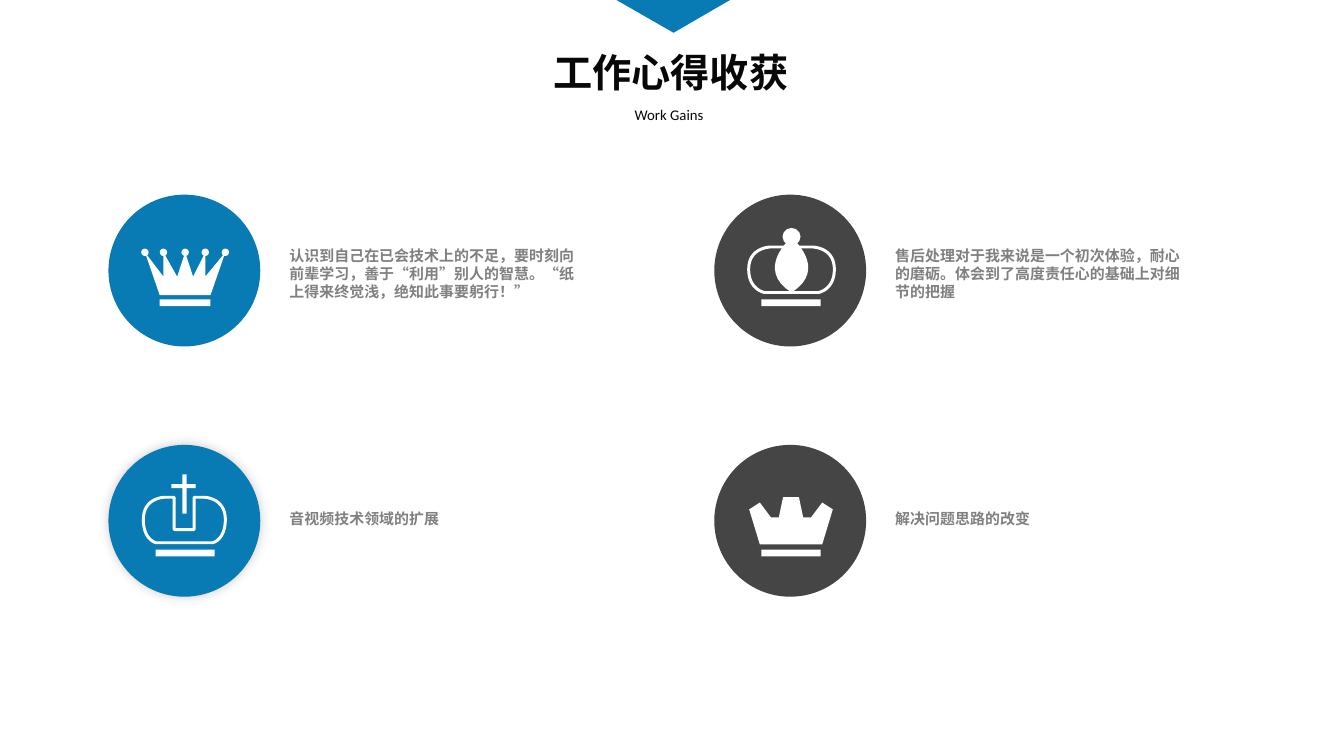
from lxml import etree
from pptx import Presentation
from pptx.dml.color import RGBColor
from pptx.enum.shapes import MSO_SHAPE as Preset
from pptx.enum.text import MSO_ANCHOR as Anchor, MSO_AUTO_SIZE as AutoSize, PP_ALIGN as Align
from pptx.oxml.ns import qn
from pptx.util import Cm, Pt

COLORS = {"blue": "087AB4", "dark": "454545", "white": "FFFFFF",
          "grey": "808080", "ink": "080808", "black": "000000"}
CJK_FONT = "Noto Sans CJK SC"
DISC = 2.87


def rgb(name):
    return RGBColor.from_string(COLORS[name])


def paint(shape, fill=None, line=None, width=1.6):
    shape.shadow.inherit = False
    if fill:
        shape.fill.solid()
        shape.fill.fore_color.rgb = rgb(fill)
    else:
        shape.fill.background()
    if line:
        shape.line.color.rgb = rgb(line)
        shape.line.width = Pt(width)
    else:
        shape.line.fill.background()
    return shape


def add_glow(shape):
    """Put a faint soft shadow around the shape."""
    effects = shape._element.spPr.find(qn("a:effectLst"))
    shadow = etree.SubElement(effects, qn("a:outerShdw"), blurRad=str(Pt(6)),
                              dist="0", dir="18900000", algn="ctr", rotWithShape="0")
    color = etree.SubElement(shadow, qn("a:srgbClr"), val=COLORS["black"])
    etree.SubElement(color, qn("a:alpha"), val="20000")


def curve(start, control_1, control_2, end, steps=16):
    """Points along a cubic Bezier curve."""
    points = []
    for step in range(steps + 1):
        t = step / steps
        weights = ((1 - t) ** 3, 3 * t * (1 - t) ** 2, 3 * t * t * (1 - t), t ** 3)
        points.append(tuple(
            sum(weight * point[axis] for weight, point in
                zip(weights, (start, control_1, control_2, end)))
            for axis in (0, 1)))
    return points


class Badge:
    """A coloured disc whose white icon is drawn from the disc's top left corner."""

    def __init__(self, slide, left, top, color):
        self.shapes = slide.shapes.add_group_shape().shapes
        self.left, self.top = left, top
        self.disc = self.preset(Preset.OVAL, 0, 0, DISC, DISC, color)

    def preset(self, kind, x, y, width, height, color="white"):
        shape = self.shapes.add_shape(kind, Cm(self.left + x), Cm(self.top + y),
                                      Cm(width), Cm(height))
        return paint(shape, color)

    def outline(self, points, **style):
        points = [(Cm(self.left + x), Cm(self.top + y)) for x, y in points]
        builder = self.shapes.build_freeform(*points[0], scale=1.0)
        builder.add_line_segments(points[1:], close=True)
        paint(builder.convert_to_shape(), **style)

    def base(self, width=1.12):
        self.preset(Preset.RECTANGLE, 1.45 - width / 2, 1.98, width, 0.13)


def draw_pointed_crown(badge):
    tips = [(x, 1.09) for x in (0.69, 1.04, 1.45, 1.83, 2.21)]
    valleys = [(x, 1.55) for x in (1.04, 1.3, 1.6, 1.83)]
    zigzag = [tips[0]]
    for valley, tip in zip(valleys, tips[1:]):
        zigzag += [valley, tip]
    badge.outline(zigzag + [(1.93, 1.9), (0.97, 1.9)], fill="white")
    for x, y in tips:
        badge.preset(Preset.OVAL, x - 0.07, y - 0.07, 0.14, 0.14)
    badge.base(0.96)


def rounded_body(left, right, foot, shoulder, notch=()):
    """Outline of a puffed crown; foot and shoulder are insets of its flat edges."""
    top, middle, bottom = 0.99, 1.41, 1.85
    foot_left, foot_right = (left + foot, bottom), (right - foot, bottom)
    top_left, top_right = (left + shoulder, top), (right - shoulder, top)
    return (curve(foot_left, foot_left, (left, bottom - 0.05), (left, middle))
            + curve((left, middle), (left, top), top_left, top_left)
            + list(notch)
            + curve(top_right, top_right, (right, top), (right, middle))
            + curve((right, middle), (right, bottom - 0.05), foot_right, foot_right))


def draw_cross_crown(badge):
    notch = [(1.24, 0.99), (1.24, 1.6), (1.62, 1.6), (1.62, 0.99)]
    badge.outline(rounded_body(0.66, 2.21, 0.24, 0.41, notch), line="white")
    badge.preset(Preset.RECTANGLE, 1.4, 0.56, 0.08, 0.74)
    badge.preset(Preset.RECTANGLE, 1.19, 0.74, 0.46, 0.08)
    badge.base()
    add_glow(badge.disc)


def draw_orb_crown(badge):
    badge.outline(rounded_body(0.65, 2.27, 0.3, 0.42), line="white")
    top, bottom = (1.46, 0.81), (1.46, 1.85)
    badge.outline(curve(top, top, (0.75, 1.4), bottom)
                  + curve(bottom, (2.17, 1.4), top, top), fill="white")
    badge.preset(Preset.OVAL, 1.29, 0.63, 0.34, 0.33)
    badge.base()


def draw_tower_crown(badge):
    left_half = [(0.86, 1.88), (0.66, 1.22), (0.86, 1.09), (1.07, 1.37),
                 (1.22, 1.37), (1.3, 0.99)]
    right_half = [(2.9 - x, y) for x, y in reversed(left_half)]
    badge.outline(left_half + right_half, fill="white")
    badge.base()


def set_text(shape, text, size, font, color, bold=False, align=Align.LEFT):
    frame = shape.text_frame
    frame.word_wrap = True
    frame.auto_size = AutoSize.NONE
    frame.vertical_anchor = Anchor.TOP
    paragraph = frame.paragraphs[0]
    paragraph.alignment = align
    run = paragraph.add_run()
    run.text = text
    paragraph.font.size = Pt(size)
    paragraph.font.bold = bold
    paragraph.font.name = font
    paragraph.font.color.rgb = rgb(color)
    east_asian = etree.SubElement(run._r.get_or_add_rPr(), qn("a:ea"))
    east_asian.set("typeface", CJK_FONT)
    return paragraph


def add_header(slide):
    builder = slide.shapes.build_freeform(Cm(11.65), 0, scale=1.0)
    builder.add_line_segments([(Cm(13.8), 0), (Cm(12.73), Cm(0.62))], close=True)
    paint(builder.convert_to_shape(), "blue")

    title = slide.shapes.title
    title.left, title.top, title.width, title.height = Cm(8.66), Cm(0.79), Cm(8.03), Cm(1.14)
    set_text(title, "工作心得收获", 21, "Calibri", "ink", True, Align.CENTER)
    subtitle = slide.shapes.add_textbox(Cm(8.38), Cm(1.88), Cm(8.53), Cm(0.58))
    set_text(subtitle, "Work Gains", 7.9, "Calibri", "ink", align=Align.CENTER)


def add_gain(slide, left, top, color, draw_icon, text, text_offset, spacing):
    draw_icon(Badge(slide, left, top, color))
    box = slide.shapes.add_textbox(Cm(left + 2.96), Cm(top + text_offset), Cm(6.48), Cm(1.47))
    frame = box.text_frame
    frame.margin_left = frame.margin_right = Cm(0.46)
    frame.margin_top = frame.margin_bottom = Cm(0.23)
    paragraph = set_text(box, text, 8, CJK_FONT, "grey", True)
    paragraph.line_spacing = spacing


def main():
    presentation = Presentation()
    presentation.slide_width, presentation.slide_height = Cm(25.4), Cm(14.29)
    slide = presentation.slides.add_slide(presentation.slide_layouts[5])
    add_header(slide)
    columns = ((2.05, "blue"), (13.5, "dark"))
    rows = ((3.68, 0.76, 1.0), (8.41, 0.94, 1.14))
    gains = (
        ((draw_pointed_crown, "认识到自己在已会技术上的不足，要时刻向前辈学习，善于“利用”别人的智慧。“纸上得来终觉浅，绝知此事要躬行！”"),
         (draw_orb_crown, "售后处理对于我来说是一个初次体验，耐心的磨砺。体会到了高度责任心的基础上对细节的把握")),
        ((draw_cross_crown, "音视频技术领域的扩展"),
         (draw_tower_crown, "解决问题思路的改变")),
    )
    for (top, text_offset, spacing), row in zip(rows, gains):
        for (left, color), (draw_icon, text) in zip(columns, row):
            add_gain(slide, left, top, color, draw_icon, text, text_offset, spacing)
    presentation.save("out.pptx")


if __name__ == "__main__":
    main()
